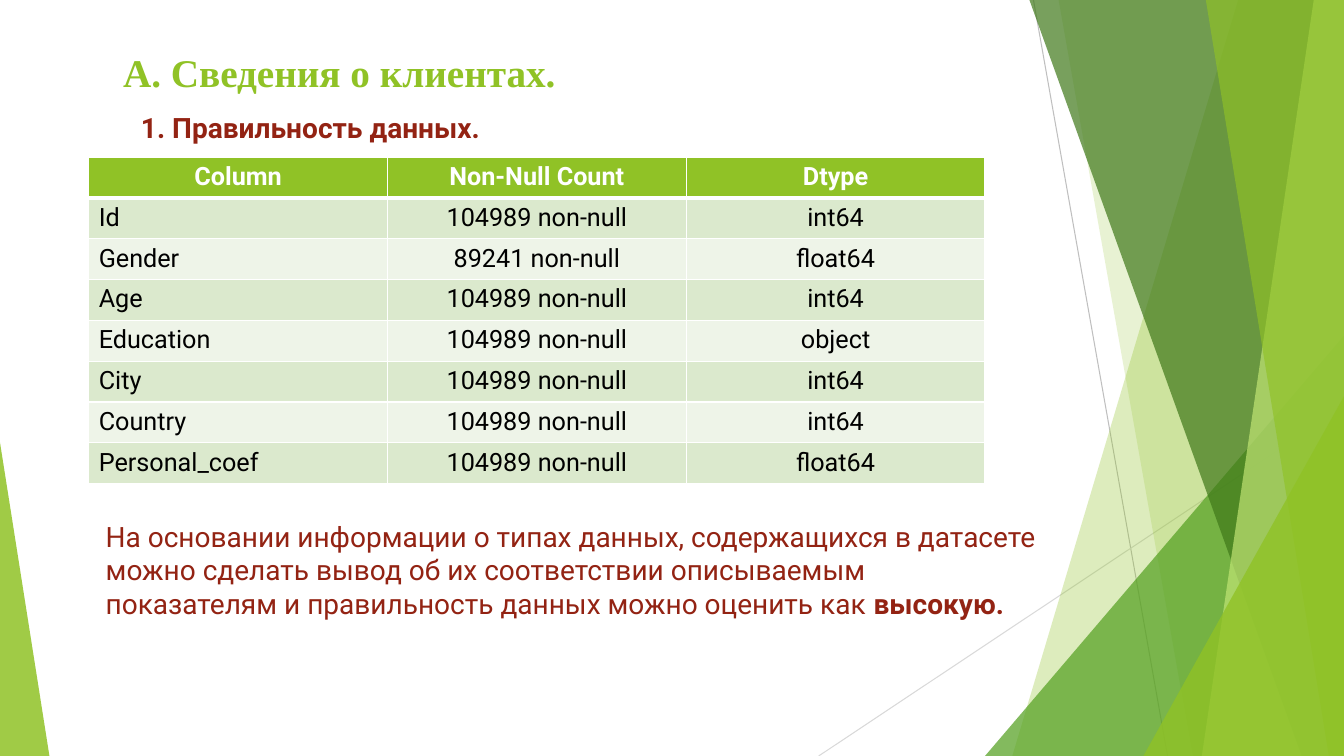
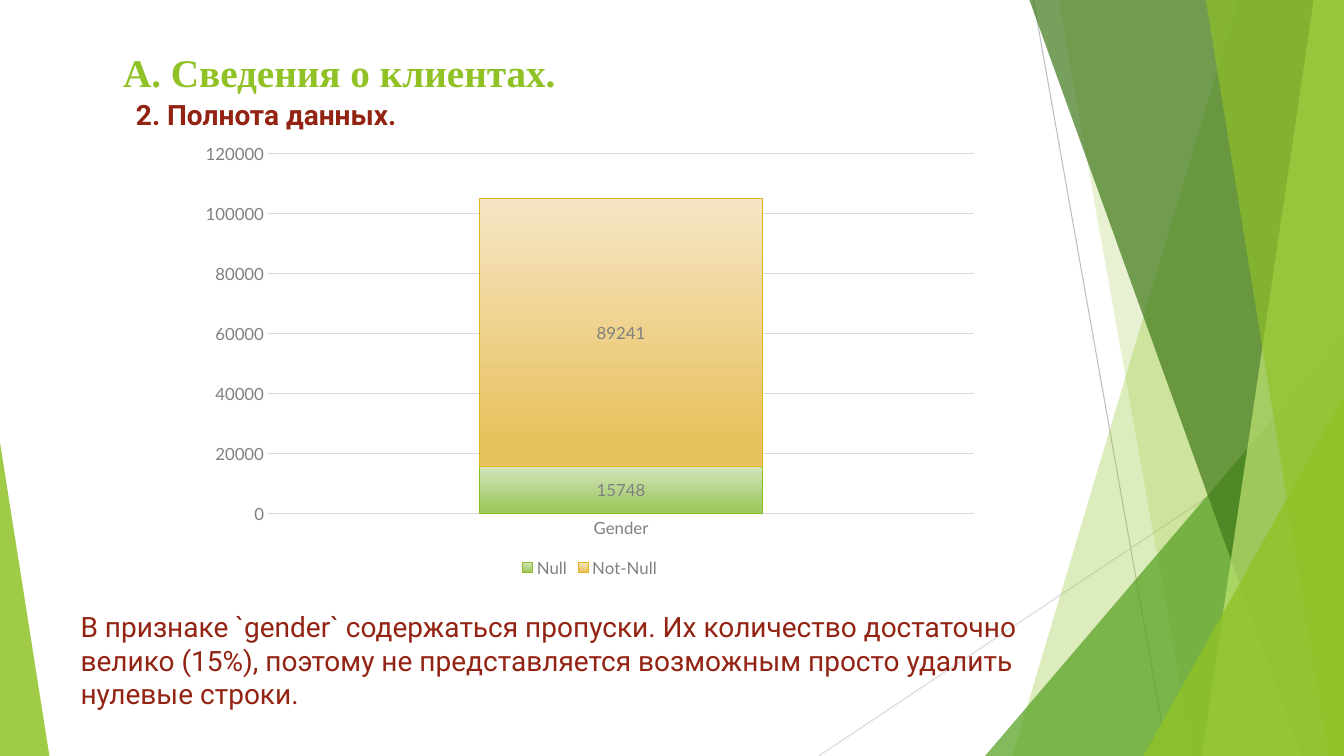
from dataclasses import dataclass

from lxml.etree import SubElement
from pptx import Presentation
from pptx.chart.data import CategoryChartData as Data
from pptx.dml.color import RGBColor as RGB
from pptx.enum.chart import XL_CHART_TYPE as Kind, XL_LABEL_POSITION as Spot
from pptx.enum.chart import XL_LEGEND_POSITION as Side, XL_TICK_MARK as Tick
from pptx.enum.shapes import MSO_CONNECTOR as Link, MSO_SHAPE as Form
from pptx.enum.text import MSO_ANCHOR as Anchor, MSO_AUTO_SIZE as Auto, PP_ALIGN as Align
from pptx.oxml.ns import qn
from pptx.util import Inches, Pt


@dataclass(frozen=True)
class Theme:
    lime: str = "90C226"
    green: str = "54A021"
    dark: str = "3F7819"
    pale: str = "C0E474"
    red: str = "932313"
    white: str = "FFFFFF"
    black: str = "000000"
    grey: str = "808080"
    rule: str = "D9D9D9"
    edge: str = "BFBFBF"
    bands: tuple = ("DBE9CD", "EEF4E8")
    serif: str = "Times New Roman"
    sans: str = "Roboto"
    plot: str = "Lato"
    head: int = 28
    body: int = 20
    cell: int = 18
    label: int = 12
    thin: float = 0.75


theme = Theme()


def style(font, name, size, color, bold=False):
    font.name, font.size, font.bold = name, Pt(size), bold
    font.color.rgb = RGB.from_string(color)


def write(slide, box, *parts):
    frame = slide.shapes.add_textbox(*map(Inches, box)).text_frame
    frame.word_wrap = True
    for text, bold in parts:
        run = frame.paragraphs[0].add_run()
        run.text = text
        style(run.font, theme.sans, theme.body, theme.red, bold)


deck = Presentation()
deck.slide_width, deck.slide_height = Inches(13.33), Inches(7.5)
layout = deck.slide_layouts[5]
for holder in list(layout.placeholders)[1:]:
    holder.element.getparent().remove(holder.element)
title = layout.placeholders[0]
title.left, title.top, title.width, title.height = map(Inches, (0.63, 0.36, 9.4, 0.61))

slides = []
for _ in range(2):
    slide = deck.slides.add_slide(layout)
    frame = slide.shapes.title.text_frame
    frame.text = "А. Сведения о клиентах."
    frame.auto_size, frame.vertical_anchor = Auto.NONE, Anchor.TOP
    para = frame.paragraphs[0]
    para.alignment, para.line_spacing, para.space_after = Align.LEFT, 1.15, Pt(8)
    para._p.get_or_add_pPr().set("indent", str(Inches(0.49)))
    style(para.runs[0].font, theme.serif, theme.head, theme.lime, True)
    slides.append(slide)
first, second = slides

decor = []
for ends, color in (
    ((10.25, 0, 11.58, 7.5), theme.edge),
    ((13.33, 4.03, 8.12, 7.5), theme.rule),
):
    line = first.shapes.add_connector(Link.STRAIGHT, *map(Inches, ends))
    line.line.color.rgb = RGB.from_string(color)
    line.line.width = Pt(theme.thin)
    SubElement(line.element.spPr, qn("a:effectLst"))
    decor.append(line)

for kind, where, color, alpha in (
    ("band", (12.28, 10.04), theme.lime, 30),
    ("band", (10.5, 11.83), theme.lime, 20),
    ("wedge", (9.77, 3.33, 3.56, 4.17, 1), theme.green, 72),
    ("band", (10.21, 12.91), theme.dark, 70),
    ("band", (13.03, 11.92), theme.pale, 70),
    ("band", (11.96, 13.18), theme.lime, 65),
    ("wedge", (11.34, 3.93, 1.99, 3.57, 1), theme.lime, 80),
    ("wedge", (0, 4.39, 0.49, 3.11, 0), theme.lime, 85),
):
    if kind == "band":
        top, base = map(Inches, where)
        right, foot = deck.slide_width, deck.slide_height
        pen = first.shapes.build_freeform(top, 0)
        pen.add_line_segments([(right, 0), (right, foot), (base, foot)])
        shape = pen.convert_to_shape()
    else:
        *box, tip = where
        shape = first.shapes.add_shape(Form.ISOSCELES_TRIANGLE, *map(Inches, box))
        shape.adjustments[0] = tip
    shape.shadow.inherit = False
    shape.line.fill.background()
    shape.fill.solid()
    shape.fill.fore_color.rgb = RGB.from_string(color)
    tint = shape.element.spPr.find(qn("a:solidFill"))[0]
    SubElement(tint, qn("a:alpha"), val=str(alpha * 1000))
    decor.append(shape)

for spot, shape in enumerate(decor, 2):
    layout.shapes.element.insert(spot, shape.element)

write(
    first,
    (0.95, 5.1, 9.48, 1.45),
    ("На основании информации о типах данных, содержащихся в датасете можно сделать вывод "
     "об их соответствии описываемым показателям и правильность данных можно оценить как ", False),
    ("высокую.", True),
)
write(first, (1.3, 1.05, 4.59, 0.44), ("1. Правильность данных.", True))

full = "104989 non-null"
rows = (
    ("Column", "Non-Null Count", "Dtype"),
    ("Id", full, "int64"),
    ("Gender", "89241 non-null", "float64"),
    ("Age", full, "int64"),
    ("Education", full, "object"),
    ("City", full, "int64"),
    ("Country", full, "int64"),
    ("Personal_coef", full, "float64"),
)
box = map(Inches, (0.88, 1.56, 8.89, 3.24))
table = first.shapes.add_table(len(rows), 3, *box).table
for y, row in enumerate(rows):
    for x, text in enumerate(row):
        cell = table.cell(y, x)
        cell.text = text
        para = cell.text_frame.paragraphs[0]
        para.alignment = Align.LEFT if y and not x else Align.CENTER
        color = theme.black if y else theme.white
        style(para.runs[0].font, theme.sans, theme.cell, color, not y)
        props = cell._tc.get_or_add_tcPr()
        for side in "LRTB":
            thick = (y, side) in ((0, "B"), (1, "T"))
            edge = SubElement(props, qn("a:ln" + side), w=str(Pt(3 if thick else 1)))
            SubElement(SubElement(edge, qn("a:solidFill")), qn("a:srgbClr"), val=theme.white)
        cell.fill.solid()
        shade = theme.bands[(y - 1) % 2] if y else theme.lime
        cell.fill.fore_color.rgb = RGB.from_string(shade)

write(
    second,
    (0.7, 6, 9.89, 1.1),
    ("В признаке `gender` содержаться пропуски. Их количество достаточно велико (15%), "
     "поэтому не представляется возможным просто удалить нулевые строки.", False),
)
write(second, (1.25, 0.92, 4.59, 0.44), ("2. Полнота данных.", True))

data = Data()
data.categories = ["Gender"]
data.add_series("Null", [15748])
data.add_series("Not-Null", [89241])
box = map(Inches, (1.88, 1.34, 7.94, 4.43))
chart = second.shapes.add_chart(Kind.COLUMN_STACKED, *box, data).chart
chart.has_title = False
style(chart.font, theme.plot, theme.label, theme.grey)
chart.has_legend = True
chart.legend.position = Side.BOTTOM
chart.legend.include_in_layout = False
style(chart.legend.font, theme.plot, theme.label, theme.grey)

cats, vals = chart.category_axis, chart.value_axis
for axis in (cats, vals):
    axis.major_tick_mark = axis.minor_tick_mark = Tick.NONE
    style(axis.tick_labels.font, theme.plot, theme.label, theme.grey)
vals.minimum_scale, vals.maximum_scale, vals.major_unit = 0, 120000, 20000
vals.has_major_gridlines = True
vals.format.line.fill.background()
for line in (cats.format.line, vals.major_gridlines.format.line):
    line.color.rgb = RGB.from_string(theme.rule)
    line.width = Pt(theme.thin)

plot = chart.plots[0]
plot.gap_width, plot.overlap, plot.vary_by_categories = 150, 100, False
looks = (("D3E5BE", "A0C962", "8DBE25"), ("F5E5C5", "E9C260", "E1B51D"))
for bar, (light, deep, edge) in zip(plot.series, looks):
    fill, line = bar.format.fill, bar.format.line
    fill.gradient()
    fill.gradient_angle = 270
    for stop, color, place in zip(fill.gradient_stops, (light, deep), (0, 0.88)):
        stop.color.rgb, stop.position = RGB.from_string(color), place
    line.color.rgb, line.width = RGB.from_string(edge), Pt(theme.thin)
    labels = bar.data_labels
    labels.show_value, labels.position = True, Spot.CENTER
    style(labels.font, theme.plot, theme.label, theme.grey)

deck.save("out.pptx")
